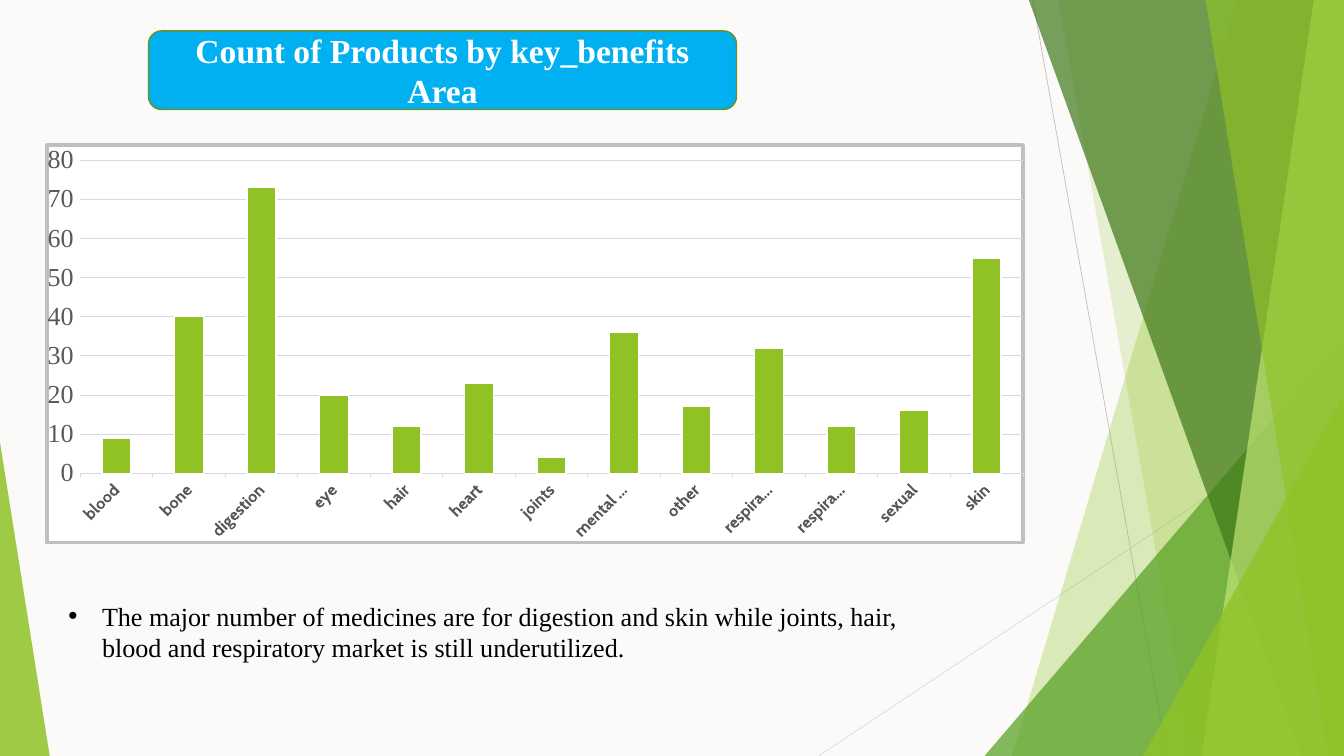
from dataclasses import dataclass

from lxml import etree
from pptx import Presentation
from pptx.chart.data import CategoryChartData
from pptx.dml.color import RGBColor
from pptx.enum.chart import XL_CHART_TYPE, XL_TICK_MARK
from pptx.enum.shapes import MSO_CONNECTOR, MSO_SHAPE
from pptx.enum.text import MSO_ANCHOR, PP_ALIGN
from pptx.oxml import parse_xml
from pptx.oxml.ns import nsdecls, qn
from pptx.util import Inches, Pt

COLUMNS = XL_CHART_TYPE.COLUMN_CLUSTERED
STRAIGHT = MSO_CONNECTOR.STRAIGHT
ROUNDED = MSO_SHAPE.ROUNDED_RECTANGLE
TRIANGLE = MSO_SHAPE.ISOSCELES_TRIANGLE
TICK_OUT, TICK_NONE = XL_TICK_MARK.OUTSIDE, XL_TICK_MARK.NONE
MIDDLE, CENTER = MSO_ANCHOR.MIDDLE, PP_ALIGN.CENTER

WIDTH, HEIGHT = 20, 11.25


@dataclass(frozen=True)
class Theme:
    background: str = "FBFAF8"
    white: str = "FFFFFF"
    black: str = "000000"
    lime: str = "90C226"
    green: str = "54A021"
    dark_green: str = "3F7819"
    pale_lime: str = "C0E474"
    title_fill: str = "00B0F0"
    title_line: str = "6B901C"
    axis_text: str = "595959"
    grid: str = "D9D9D9"
    frame: str = "BFBFBF"
    serif: str = "Times New Roman"
    sans: str = "Cabin"
    title_size: float = 36
    body_size: float = 28
    category_size: float = 18
    chart_size: float = 10


THEME = Theme()


@dataclass(frozen=True)
class Ray:
    start: tuple[float, float]
    end: tuple[float, float]
    color: str


@dataclass(frozen=True)
class Band:
    """Four-sided facet that runs from the top edge to the bottom edge."""
    top_left: float
    bottom_left: float
    color: str
    opacity: int


@dataclass(frozen=True)
class Wedge:
    """Right triangle standing on the bottom edge, peak at 0 (left) or 1 (right)."""
    left: float
    top: float
    width: float
    peak: float
    color: str
    opacity: int


RAYS = [
    Ray((15.37, 0), (17.37, HEIGHT), THEME.frame),
    Ray((WIDTH, 6.04), (12.18, HEIGHT), THEME.grid),
]
FACETS = [
    Band(18.42, 15.06, THEME.lime, 30),
    Band(15.75, 17.74, THEME.lime, 20),
    Wedge(14.65, 5, 5.35, 1, THEME.green, 72),
    Band(15.31, 19.37, THEME.dark_green, 70),
    Band(19.55, 17.88, THEME.pale_lime, 70),
    Band(17.94, 19.76, THEME.lime, 65),
    Wedge(17.01, 5.89, 2.98, 1, THEME.lime, 80),
    Wedge(0, 6.58, 0.74, 0, THEME.lime, 85),
]
COUNTS = {
    "blood": 9, "bone": 40, "digestion": 73, "eye": 20, "hair": 12,
    "heart": 23, "joints": 4, "mental health": 36, "other": 17,
    "respiration": 32, "respiratory": 12, "sexual": 16, "skin": 55,
}


def rgb(color: str) -> RGBColor:
    return RGBColor.from_string(color)


def set_fill(target, color: str, opacity: int = 100) -> None:
    target.fill.solid()
    target.fill.fore_color.rgb = rgb(color)
    if opacity < 100:
        color_node = target.fill._xPr.find(f".//{qn('a:srgbClr')}")
        etree.SubElement(color_node, qn("a:alpha"), val=str(opacity * 1000))


def set_line(line, color: str, width: float) -> None:
    line.color.rgb = rgb(color)
    line.width = Pt(width)


def set_font(font, name: str, size: float, color: str, bold: bool = False) -> None:
    font.name, font.size, font.bold = name, Pt(size), bold
    font.color.rgb = rgb(color)


def draw_ray(page, ray: Ray) -> None:
    ends = [Inches(value) for value in ray.start + ray.end]
    connector = page.shapes.add_connector(STRAIGHT, *ends)
    set_line(connector.line, ray.color, 0.75)
    etree.SubElement(connector._element.spPr, qn("a:effectLst"))


def draw_facet(page, facet: Band | Wedge) -> None:
    if isinstance(facet, Band):
        builder = page.shapes.build_freeform(Inches(facet.top_left), 0)
        corners = [(WIDTH, 0), (WIDTH, HEIGHT), (facet.bottom_left, HEIGHT)]
        builder.add_line_segments([(Inches(x), Inches(y)) for x, y in corners])
        shape = builder.convert_to_shape()
    else:
        shape = page.shapes.add_shape(
            TRIANGLE, Inches(facet.left), Inches(facet.top),
            Inches(facet.width), Inches(HEIGHT - facet.top))
        shape.adjustments[0] = facet.peak
    shape.shadow.inherit = False
    set_fill(shape, facet.color, facet.opacity)
    shape.line.fill.background()


def draw_title(page, text: str) -> None:
    box = page.shapes.add_shape(
        ROUNDED, Inches(2.21), Inches(0.46), Inches(8.75), Inches(1.17))
    box.shadow.inherit = False
    set_fill(box, THEME.title_fill)
    set_line(box.line, THEME.title_line, 1.5)
    box.text_frame.word_wrap = True
    box.text_frame.vertical_anchor = MIDDLE
    para = box.text_frame.paragraphs[0]
    para.text, para.alignment = text, CENTER
    set_font(para.font, THEME.serif, THEME.title_size, THEME.white, bold=True)


def draw_chart(page, counts: dict[str, int]) -> None:
    data = CategoryChartData()
    data.categories = list(counts)
    data.add_series("Series 1", list(counts.values()))
    chart = page.shapes.add_chart(
        COLUMNS, Inches(0.67), Inches(2.13), Inches(14.58), Inches(5.97), data).chart
    chart.has_legend = chart.has_title = False
    set_font(chart.font, THEME.sans, THEME.chart_size, THEME.black)

    # Columns
    plot = chart.plots[0]
    plot.gap_width, plot.vary_by_categories = 150, False
    series = plot.series[0]
    series.invert_if_negative = False
    set_fill(series.format, THEME.lime)
    set_line(series.format.line, THEME.white, 1.5)

    # Axes
    categories, values = chart.category_axis, chart.value_axis
    set_font(categories.tick_labels.font, THEME.sans, THEME.category_size,
             THEME.axis_text, bold=True)
    categories._element.find(f"{qn('c:txPr')}/{qn('a:bodyPr')}").set("rot", "-2700000")
    set_font(values.tick_labels.font, THEME.serif, THEME.body_size, THEME.axis_text)
    values.minimum_scale, values.maximum_scale, values.major_unit = 0, 80, 10
    for axis in (categories, values):
        axis.major_tick_mark, axis.minor_tick_mark = TICK_OUT, TICK_NONE
    set_line(categories.format.line, THEME.grid, 0.75)
    values.format.line.fill.background()
    set_line(values.major_gridlines.format.line, THEME.grid, 0.75)

    # Inner plot position and chart frame
    plot_area = chart._chartSpace.chart.plotArea
    for layout in plot_area.findall(qn("c:layout")):
        plot_area.remove(layout)
    layout = etree.Element(qn("c:layout"))
    manual = etree.SubElement(layout, qn("c:manualLayout"))
    settings = {"layoutTarget": "inner", "xMode": "edge", "yMode": "edge",
                "x": 0.034, "y": 0.038, "w": 0.966, "h": 0.788}
    for name, value in settings.items():
        etree.SubElement(manual, qn(f"c:{name}"), val=str(value))
    plot_area.insert(0, layout)
    chart._chartSpace.chart.addnext(parse_xml(
        f'<c:spPr {nsdecls("c", "a")}>'
        f'<a:solidFill><a:srgbClr val="{THEME.white}"/></a:solidFill>'
        f'<a:ln w="{Pt(4)}"><a:solidFill><a:srgbClr val="{THEME.frame}"/></a:solidFill>'
        '</a:ln></c:spPr>'))


def draw_bullet(page, text: str) -> None:
    box = page.shapes.add_textbox(
        Inches(0.92), Inches(8.88), Inches(12.57), Inches(1.04))
    box.text_frame.word_wrap = True
    para = box.text_frame.paragraphs[0]
    para.text = text
    set_font(para.font, THEME.serif, THEME.body_size, THEME.black)
    properties = para._p.get_or_add_pPr()
    properties.set("marL", str(Inches(0.5)))
    properties.set("indent", str(Inches(-0.5)))
    properties.insert(0, parse_xml(f'<a:buChar {nsdecls("a")} char="•"/>'))
    properties.insert(0, parse_xml(f'<a:buFont {nsdecls("a")} typeface="Arial"/>'))


def main() -> None:
    deck = Presentation()
    deck.slide_width, deck.slide_height = Inches(WIDTH), Inches(HEIGHT)
    page = deck.slides.add_slide(deck.slide_layouts[6])
    set_fill(page.background, THEME.background)

    # Faceted backdrop
    for ray in RAYS:
        draw_ray(page, ray)
    for facet in FACETS:
        draw_facet(page, facet)

    # Content
    draw_title(page, "Count of Products by key_benefits Area")
    draw_chart(page, COUNTS)
    draw_bullet(page, "The major number of medicines are for digestion and skin while joints, "
                      "hair, blood and respiratory market is still underutilized.")
    deck.save("out.pptx")


if __name__ == "__main__":
    main()
